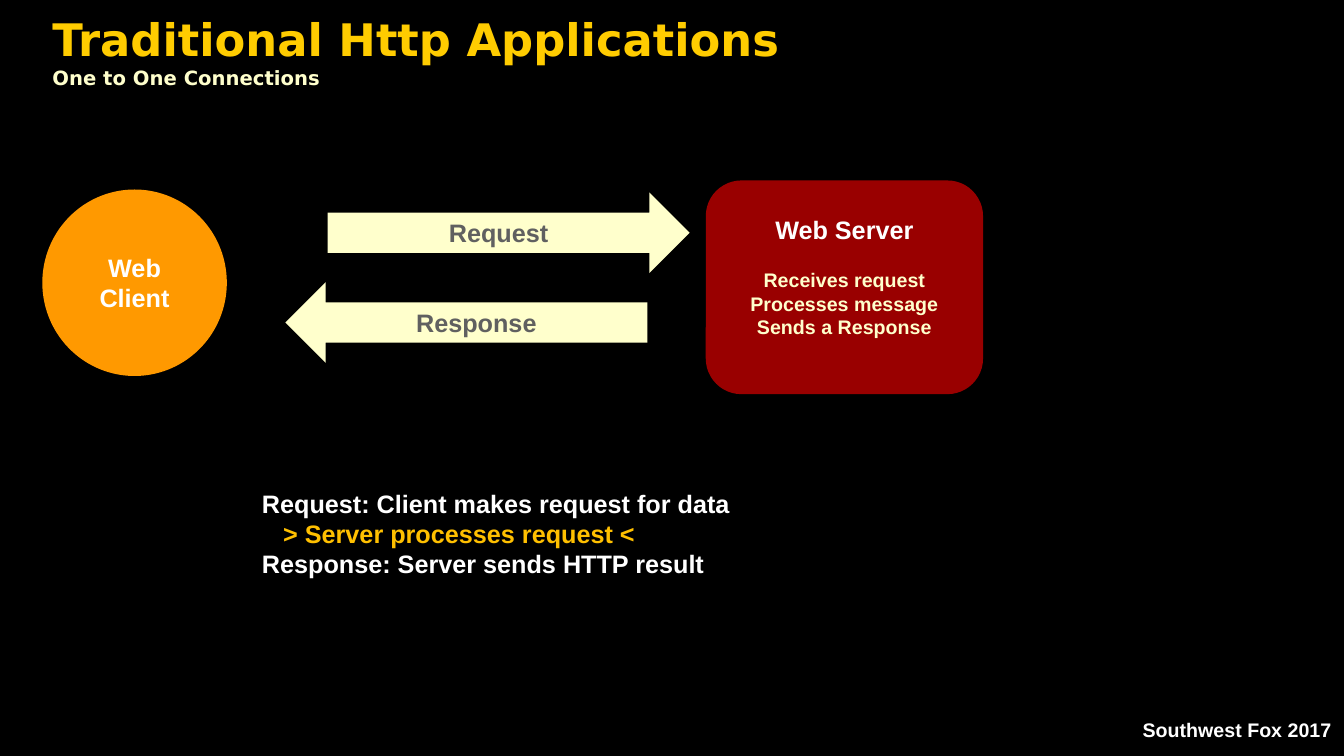
import pptx
import pptx.dml.color
import pptx.enum.shapes
import pptx.enum.text
import pptx.util

Inches = pptx.util.Inches
Pt = pptx.util.Pt
ALIGN = pptx.enum.text.PP_ALIGN
ANCHOR = pptx.enum.text.MSO_ANCHOR
SHAPE = pptx.enum.shapes.MSO_SHAPE

COLORS = {
    "background": "000000",
    "title": "FFCC00",
    "cream": "FFFFCC",
    "white": "FFFFFF",
    "server": "990000",
    "client": "FF9900",
    "arrow_text": "606060",
    "highlight": "FFC000",
}


def color(name):
    return pptx.dml.color.RGBColor.from_string(COLORS[name])


def write(frame, text, size=18, fill="white", font="Arial", align=ALIGN.LEFT,
          before=0, indent=0):
    """Write one paragraph, using the frame's first one while it is empty."""
    paragraph = frame.paragraphs[0]
    if paragraph.runs:
        paragraph = frame.add_paragraph()
    if indent:
        paragraph._p.get_or_add_pPr().set("marL", str(Inches(indent)))
    paragraph.alignment = align
    paragraph.space_before = Pt(before)
    run = paragraph.add_run()
    run.text = text
    run.font.name = font
    run.font.size = Pt(size)
    run.font.bold = True
    run.font.color.rgb = color(fill)


class SlideBuilder:
    def __init__(self, presentation):
        self.slide = presentation.slides.add_slide(presentation.slide_layouts[5])
        background = self.slide.background.fill
        background.solid()
        background.fore_color.rgb = color("background")

    def title(self, left, top, width, height):
        shape = self.slide.shapes.title
        shape.left, shape.top = Inches(left), Inches(top)
        shape.width, shape.height = Inches(width), Inches(height)
        frame = shape.text_frame
        frame.auto_size = pptx.enum.text.MSO_AUTO_SIZE.NONE
        frame.vertical_anchor = ANCHOR.MIDDLE
        return frame

    def text_box(self, left, top, width, height):
        box = self.slide.shapes.add_textbox(
            Inches(left), Inches(top), Inches(width), Inches(height))
        box.text_frame.word_wrap = False
        return box.text_frame

    def shape(self, kind, left, top, width, height, fill, anchor=ANCHOR.MIDDLE):
        shape = self.slide.shapes.add_shape(
            kind, Inches(left), Inches(top), Inches(width), Inches(height))
        shape.shadow.inherit = False
        shape.fill.solid()
        shape.fill.fore_color.rgb = color(fill)
        shape.line.fill.background()
        frame = shape.text_frame
        frame.word_wrap = True
        frame.vertical_anchor = anchor
        return frame


def main():
    presentation = pptx.Presentation()
    presentation.slide_width = Inches(13.33)
    presentation.slide_height = Inches(7.5)
    builder = SlideBuilder(presentation)

    # Title and footer
    title = builder.title(0.42, 0.25, 8.5, 0.5)
    write(title, "Traditional Http Applications", size=32, fill="title",
          font="DejaVu Sans")
    write(title, "One to One Connections", size=14, fill="cream",
          font="DejaVu Sans")
    footer = builder.text_box(11.23, 7.07, 2.08, 0.34)
    write(footer, "Southwest Fox 2017", size=14, align=ALIGN.CENTER)

    # Server
    server = builder.shape(SHAPE.ROUNDED_RECTANGLE, 7, 1.79, 2.75, 2.12,
                           "server", ANCHOR.TOP)
    server.margin_top = Inches(0.23)
    write(server, "Web Server", align=ALIGN.CENTER)
    steps = ("Receives request", "Processes message", "Sends a Response")
    for index, step in enumerate(steps):
        write(server, step, size=14, fill="cream", align=ALIGN.CENTER,
              before=0 if index else 17)

    # Client
    client = builder.shape(SHAPE.OVAL, 0.42, 1.88, 1.83, 1.85, "client")
    write(client, "Web Client", align=ALIGN.CENTER)

    # Request and response arrows
    arrows = (
        ("Request", SHAPE.RIGHT_ARROW, 3.25, 1.91),
        ("Response", SHAPE.LEFT_ARROW, 2.83, 2.8),
    )
    for label, kind, left, top in arrows:
        arrow = builder.shape(kind, left, top, 3.59, 0.8, "cream")
        write(arrow, label, fill="arrow_text", align=ALIGN.CENTER)

    # Explanation
    explanation = builder.text_box(2.5, 4.79, 4.89, 1.01)
    write(explanation, "Request: Client makes request for data")
    write(explanation, "> Server processes request <", fill="highlight",
          indent=0.21)
    write(explanation, "Response: Server sends HTTP result")

    presentation.save("out.pptx")


if __name__ == "__main__":
    main()
